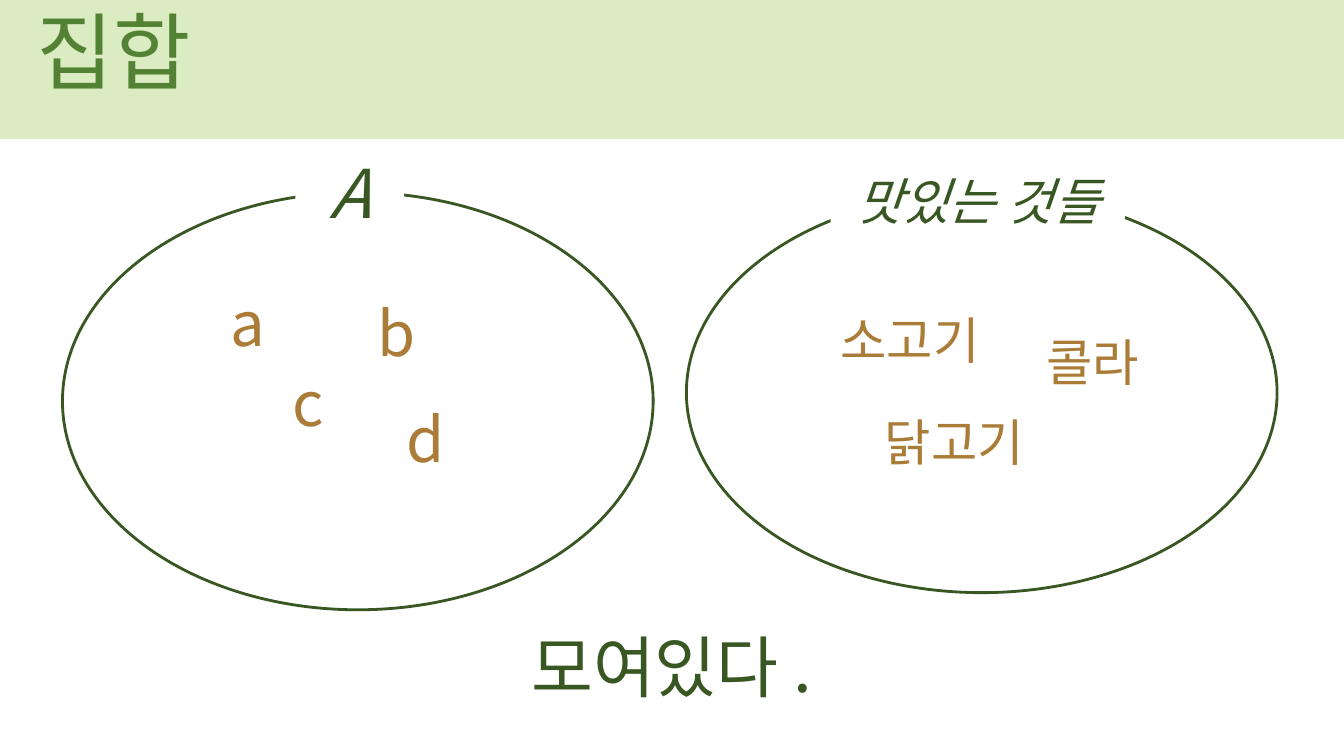
"""Builds a slide that introduces sets with two labelled ellipses and their elements."""
from dataclasses import dataclass

from pptx import Presentation
from pptx.dml.color import RGBColor
from pptx.enum.shapes import MSO_SHAPE
from pptx.enum.text import MSO_ANCHOR, PP_ALIGN
from pptx.shapes.autoshape import Shape
from pptx.slide import Slide
from pptx.util import Inches, Pt

RECTANGLE, ELLIPSE = MSO_SHAPE.RECTANGLE, MSO_SHAPE.OVAL
LEFT, CENTER = PP_ALIGN.LEFT, PP_ALIGN.CENTER
TOP = MSO_ANCHOR.TOP

WHITE = RGBColor(0xFF, 0xFF, 0xFF)
PALE_GREEN = RGBColor(0xDC, 0xEC, 0xC2)
TITLE_GREEN = RGBColor(0x54, 0x82, 0x35)
DARK_GREEN = RGBColor(0x38, 0x57, 0x23)
OCHRE = RGBColor(0xAA, 0x7C, 0x38)

FONT = "Noto Sans CJK KR"
CELL = Inches(0.1)
COLUMNS, ROWS = 133.33, 75
LINE_SPACING = 0.885
BLANK_LAYOUT = 6


@dataclass(frozen=True)
class Area:
    column: float
    row: float
    columns: float
    rows: float

    def lengths(self) -> list[int]:
        return [round(cells * CELL) for cells in (self.column, self.row, self.columns, self.rows)]


@dataclass(frozen=True)
class Label:
    text: str
    area: Area
    size: int
    color: RGBColor = DARK_GREEN
    alignment: PP_ALIGN = CENTER
    italic: bool = False


@dataclass(frozen=True)
class SetDiagram:
    outline: Area
    name: Label
    element_size: int
    elements: dict[str, Area]


BANNER = Area(0, 0, COLUMNS, 13.8)
TITLE = Label("집합", Area(2.6, 0.8, 121.5, 11.1), 60, TITLE_GREEN, LEFT)
CONCLUSION = Label("모여있다 .", Area(0, 62.6, COLUMNS, 9.1), 48)
SETS = [
    SetDiagram(
        Area(6.2, 19.1, 58.6, 41.4),
        Label("A", Area(29.3, 15.6, 10.8, 9.1), 48, italic=True),
        44,
        {
            "a": Area(21.9, 28.7, 6.5, 8.4),
            "c": Area(28, 36.7, 6.8, 8.4),
            "b": Area(36.5, 29.7, 6.5, 8.4),
            "d": Area(39.3, 40.2, 8, 8.4),
        },
    ),
    SetDiagram(
        Area(68.1, 19.1, 58.6, 39.7),
        Label("맛있는 것들", Area(82.4, 17.2, 29.2, 7.1), 36, italic=True),
        36,
        {
            "소고기": Area(82.4, 30.9, 18.2, 7.1),
            "닭고기": Area(86.8, 41.1, 18.5, 7.1),
            "콜라": Area(102.8, 33.1, 20.1, 7.1),
        },
    ),
]


def apply_format(target: object, values: dict[str, object]) -> None:
    for name, value in values.items():
        setattr(target, name, value)


def write_text(shape: Shape, label: Label) -> None:
    frame = shape.text_frame
    apply_format(frame, {"word_wrap": True, "vertical_anchor": TOP, "margin_bottom": 0})
    paragraph = frame.paragraphs[0]
    apply_format(paragraph, {"alignment": label.alignment, "line_spacing": LINE_SPACING})
    run = paragraph.add_run()
    run.text = label.text
    apply_format(run.font, {"name": FONT, "size": Pt(label.size), "italic": label.italic})
    run.font.color.rgb = label.color


def add_label(slide: Slide, label: Label) -> None:
    write_text(slide.shapes.add_textbox(*label.area.lengths()), label)


def add_block(slide: Slide, area: Area, color: RGBColor) -> Shape:
    block = slide.shapes.add_shape(RECTANGLE, *area.lengths())
    block.shadow.inherit = False
    block.fill.solid()
    block.fill.fore_color.rgb = color
    block.line.fill.background()
    return block


def add_set(slide: Slide, diagram: SetDiagram) -> None:
    ellipse = slide.shapes.add_shape(ELLIPSE, *diagram.outline.lengths())
    ellipse.shadow.inherit = False
    ellipse.fill.background()
    ellipse.line.color.rgb = DARK_GREEN
    ellipse.line.width = Pt(2)
    write_text(add_block(slide, diagram.name.area, WHITE), diagram.name)
    for text, area in diagram.elements.items():
        add_label(slide, Label(text, area, diagram.element_size, OCHRE, LEFT))


def main() -> None:
    presentation = Presentation()
    apply_format(presentation, {
        "slide_width": round(COLUMNS * CELL),
        "slide_height": ROWS * CELL,
    })
    slide = presentation.slides.add_slide(presentation.slide_layouts[BLANK_LAYOUT])
    add_block(slide, BANNER, PALE_GREEN)
    add_label(slide, TITLE)
    for diagram in SETS:
        add_set(slide, diagram)
    add_label(slide, CONCLUSION)
    presentation.save("out.pptx")


if __name__ == "__main__":
    main()
